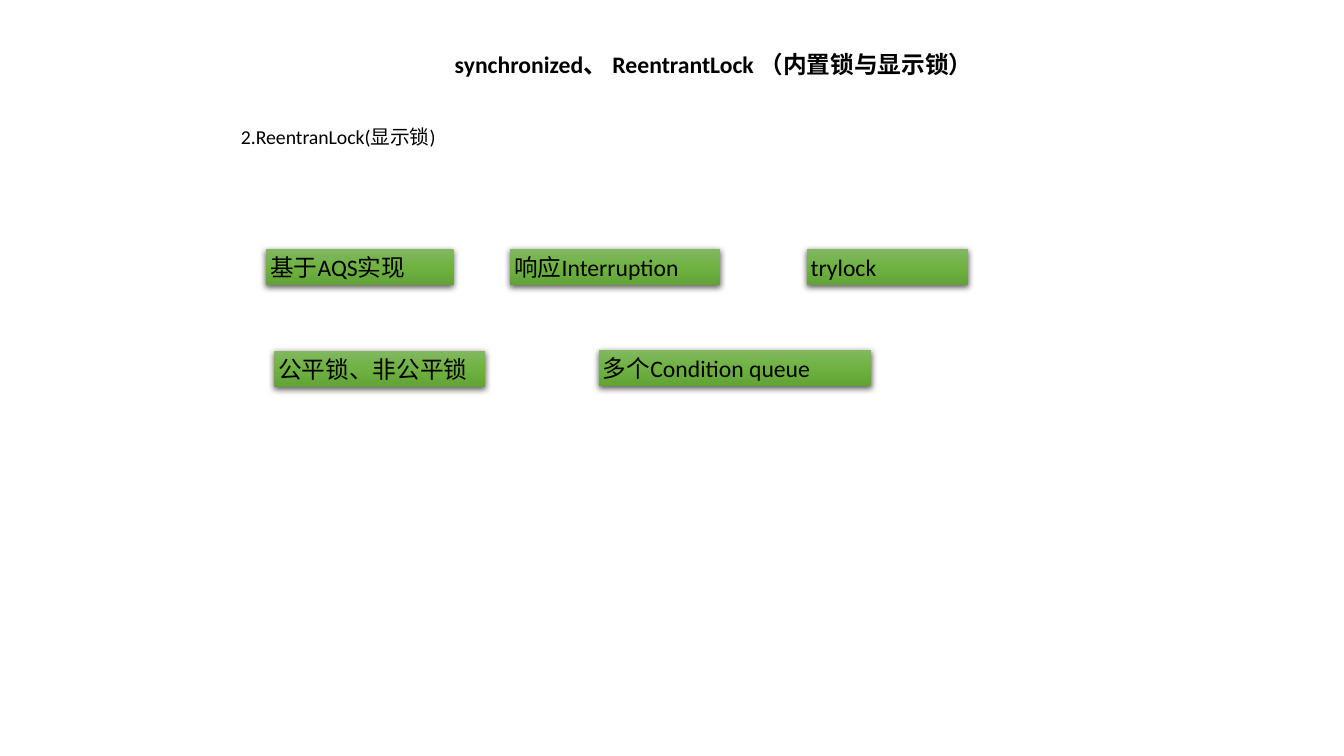
from copy import deepcopy

from lxml.etree import SubElement
from pptx import Presentation
from pptx.dml.color import RGBColor
from pptx.enum.shapes import MSO_SHAPE
from pptx.enum.text import MSO_ANCHOR, PP_ALIGN
from pptx.oxml.ns import qn
from pptx.util import Inches, Pt

INSET = 0.04
BOX_HEIGHT = 0.36
GREEN_STOPS = [(0, "81B861"), (0.5, "6FB242"), (1, "62A336")]
FEATURES = [  # left, top, width, label
    (2.64, 2.47, 1.86, "基于AQS实现"),
    (5.06, 2.47, 2.08, "响应Interruption"),
    (8, 2.47, 1.6, "trylock"),
    (2.72, 3.48, 2.09, "公平锁、非公平锁"),
    (5.94, 3.47, 2.7, "多个Condition queue"),
]


def color(value):
    return RGBColor.from_string(value)


def write(shape, text, size=16.9, bold=False, alignment=PP_ALIGN.LEFT, left_inset=INSET):
    frame = shape.text_frame
    frame_format = {
        "word_wrap": True,
        "vertical_anchor": MSO_ANCHOR.MIDDLE,
        "margin_left": Inches(left_inset),
        "margin_top": Inches(INSET),
        "margin_right": Inches(INSET),
        "margin_bottom": Inches(INSET),
    }
    for name, value in frame_format.items():
        setattr(frame, name, value)
    paragraph = frame.paragraphs[0]
    paragraph.alignment = alignment
    run = paragraph.add_run()
    run.text = text
    for name, value in {"name": "Calibri", "size": Pt(size), "bold": bold}.items():
        setattr(run.font, name, value)
    run.font.color.rgb = color("000000")


presentation = Presentation()
presentation.slide_width = Inches(13.33)
presentation.slide_height = Inches(7.5)
slide = presentation.slides.add_slide(presentation.slide_layouts[6])

subtitle = slide.shapes.add_textbox(Inches(2.35), Inches(1.2), Inches(2.01), Inches(0.31))
write(subtitle, "2.ReentranLock(显示锁)", size=14.1, alignment=PP_ALIGN.CENTER)

for left, top, width, label in FEATURES:
    box = slide.shapes.add_shape(
        MSO_SHAPE.RECTANGLE, Inches(left), Inches(top), Inches(width), Inches(BOX_HEIGHT)
    )
    box.line.fill.background()

    # Three-stop gradient running from top to bottom
    box.fill.gradient()
    box.fill.gradient_angle = 270
    stop_list = box._element.spPr.find(qn("a:gradFill")).find(qn("a:gsLst"))
    stop_list.insert(1, deepcopy(stop_list[0]))
    for stop, (position, value) in zip(box.fill.gradient_stops, GREEN_STOPS):
        stop.position = position
        stop.color.rgb = color(value)

    # Soft shadow just below the box
    box.shadow.inherit = False
    effects = box._element.spPr.find(qn("a:effectLst"))
    shadow = SubElement(
        effects, qn("a:outerShdw"), blurRad=str(Pt(4.5)), dist=str(Pt(1.5)),
        dir="5400000", rotWithShape="0",
    )
    shadow_color = SubElement(shadow, qn("a:srgbClr"), val="000000")
    SubElement(shadow_color, qn("a:alpha"), val="63000")

    write(box, label)

title = slide.shapes.add_textbox(Inches(3.47), Inches(0.46), Inches(6.81), Inches(BOX_HEIGHT))
write(title, "synchronized、 ReentrantLock （内置锁与显示锁）", bold=True, left_inset=1 + INSET)

presentation.save("out.pptx")
